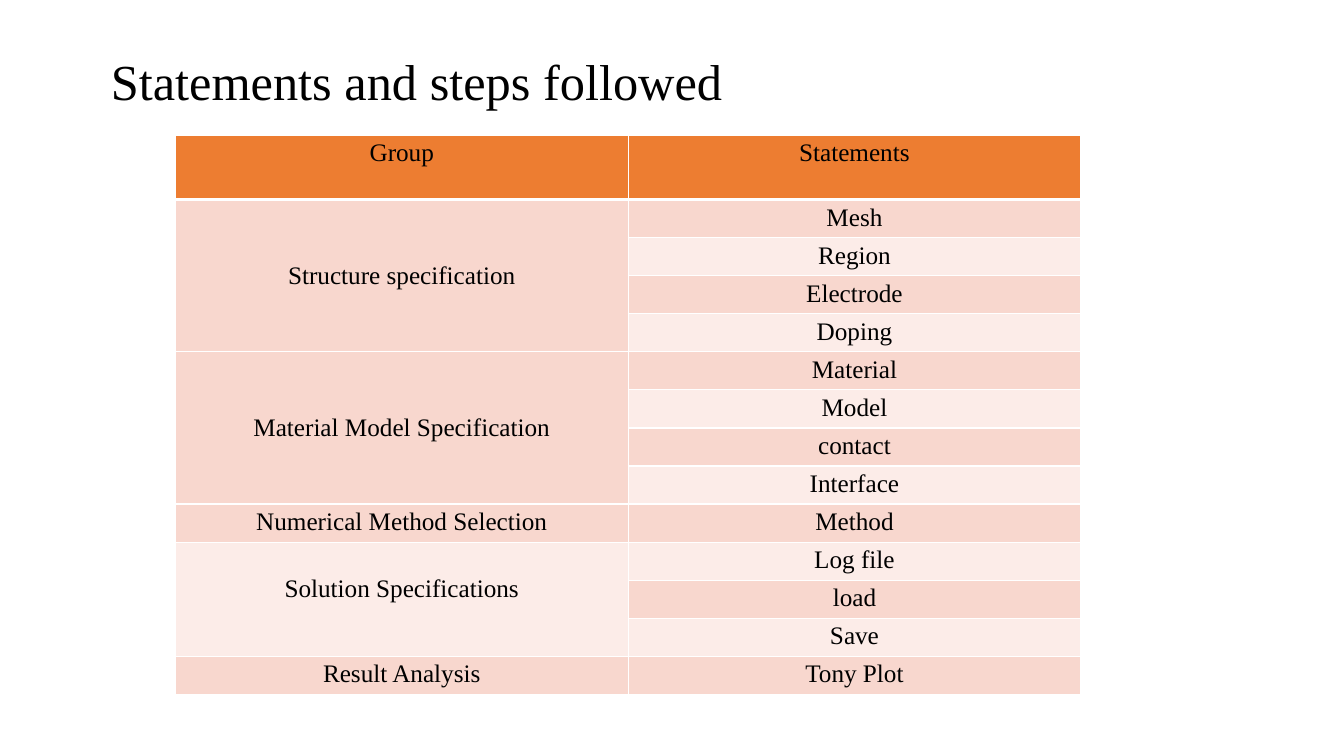
from dataclasses import dataclass

from lxml import etree
from pptx import Presentation
from pptx.dml.color import RGBColor
from pptx.enum.text import MSO_ANCHOR, MSO_AUTO_SIZE, PP_ALIGN
from pptx.oxml.ns import qn
from pptx.util import Inches, Pt

CENTER, LEFT = PP_ALIGN.CENTER, PP_ALIGN.LEFT
TOP, MIDDLE = MSO_ANCHOR.TOP, MSO_ANCHOR.MIDDLE
NO_FIT = MSO_AUTO_SIZE.NONE
TITLE_ONLY = 5


@dataclass(frozen=True)
class Theme:
    font: str = "Times New Roman"
    ink: str = "000000"
    line: str = "FFFFFF"
    head: str = "ED7D31"
    dark: str = "F8D7CE"
    light: str = "FCECE8"
    title: int = 36
    body: int = 18


# Content: each group with its statements
HEADS = ("Group", "Statements")
GROUPS = (
    ("Structure specification", ("Mesh", "Region", "Electrode", "Doping")),
    ("Material Model Specification",
     ("Material", "Model", "contact", "Interface")),
    ("Numerical Method Selection", ("Method",)),
    ("Solution Specifications", ("Log file", "load", "Save")),
    ("Result Analysis", ("Tony Plot",)),
)

# Table measures in inches
HEAD_H, BODY_H = 0.64, 4.91
PAD, TEXT_H = 0.04, 0.29


class Page:
    def __init__(self, slide, theme):
        self.slide = slide
        self.theme = theme

    def text(self, frame, words, size, align):
        para = frame.paragraphs[0]
        para.alignment = align
        run = para.add_run()
        run.text = words
        run.font.size = Pt(size)
        run.font.bold = False
        run.font.name = self.theme.font
        run.font.color.rgb = RGBColor.from_string(self.theme.ink)

    def title(self, words, left, top, width, height):
        shape = self.slide.shapes.title
        shape.left, shape.top = Inches(left), Inches(top)
        shape.width, shape.height = Inches(width), Inches(height)
        frame = shape.text_frame
        frame.auto_size = NO_FIT
        frame.vertical_anchor = MIDDLE
        self.text(frame, words, self.theme.title, LEFT)

    def border(self, cell, base):
        props = cell._tc.get_or_add_tcPr()
        for side, width in (("L", 1), ("R", 1), ("T", 1), ("B", base)):
            line = etree.SubElement(props, qn("a:ln" + side), w=str(Pt(width)))
            fill = etree.SubElement(line, qn("a:solidFill"))
            etree.SubElement(fill, qn("a:srgbClr"), val=self.theme.line)

    def cell(self, cell, words, color, drop=0, base=1):
        self.border(cell, base)
        cell.fill.solid()
        cell.fill.fore_color.rgb = RGBColor.from_string(color)
        cell.vertical_anchor = TOP
        cell.margin_top = Inches(PAD + drop * TEXT_H)
        cell.margin_bottom = Inches(PAD)
        self.text(cell.text_frame, words, self.theme.body, CENTER)

    def table(self, heads, groups, left, top, width):
        theme = self.theme
        count = sum(len(names) for _, names in groups)
        grid = self.slide.shapes.add_table(
            count + 1, len(heads), Inches(left), Inches(top),
            Inches(width), Inches(HEAD_H + BODY_H)).table

        # Row heights
        for row in grid.rows:
            row.height = Inches(BODY_H / count)
        grid.rows[0].height = Inches(HEAD_H)

        # Header
        for col, words in enumerate(heads):
            self.cell(grid.cell(0, col), words, theme.head, base=3)

        # Groups span their statements; shades alternate by row
        row = 1
        for group, names in groups:
            span = len(names)
            first = grid.cell(row, 0)
            if span > 1:
                first.merge(grid.cell(row + span - 1, 0))
            shade = theme.dark if row % 2 else theme.light
            self.cell(first, group, shade, drop=span // 2)
            for name in names:
                shade = theme.dark if row % 2 else theme.light
                self.cell(grid.cell(row, 1), name, shade)
                row += 1


def main():
    deck = Presentation()
    deck.slide_width, deck.slide_height = Inches(13.33), Inches(7.5)
    slide = deck.slides.add_slide(deck.slide_layouts[TITLE_ONLY])
    page = Page(slide, Theme())
    page.title("Statements and steps followed", 1, 0.44, 6.67, 0.71)
    page.table(HEADS, GROUPS, 1.74, 1.34, 8.98)
    deck.save("out.pptx")


if __name__ == "__main__":
    main()
